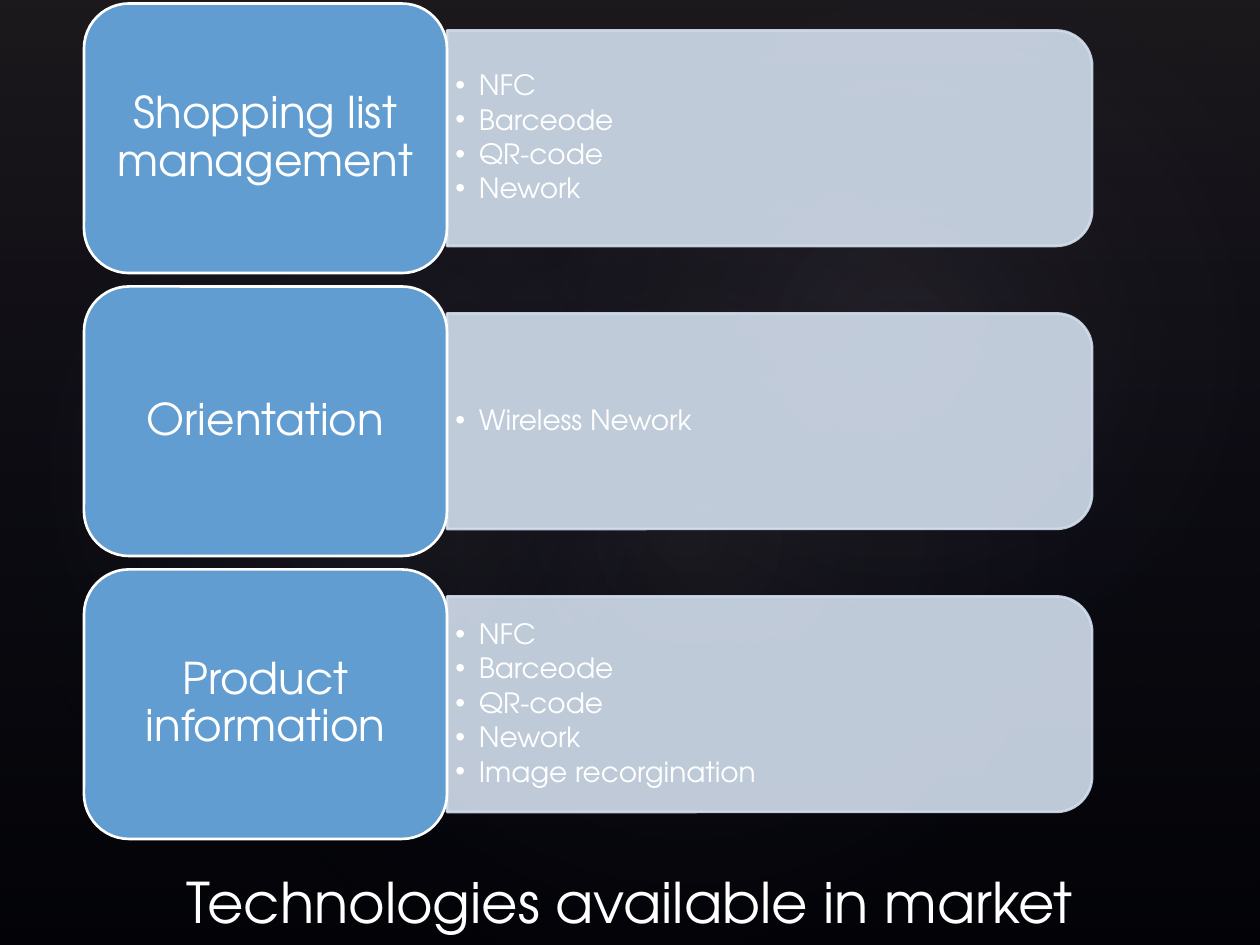
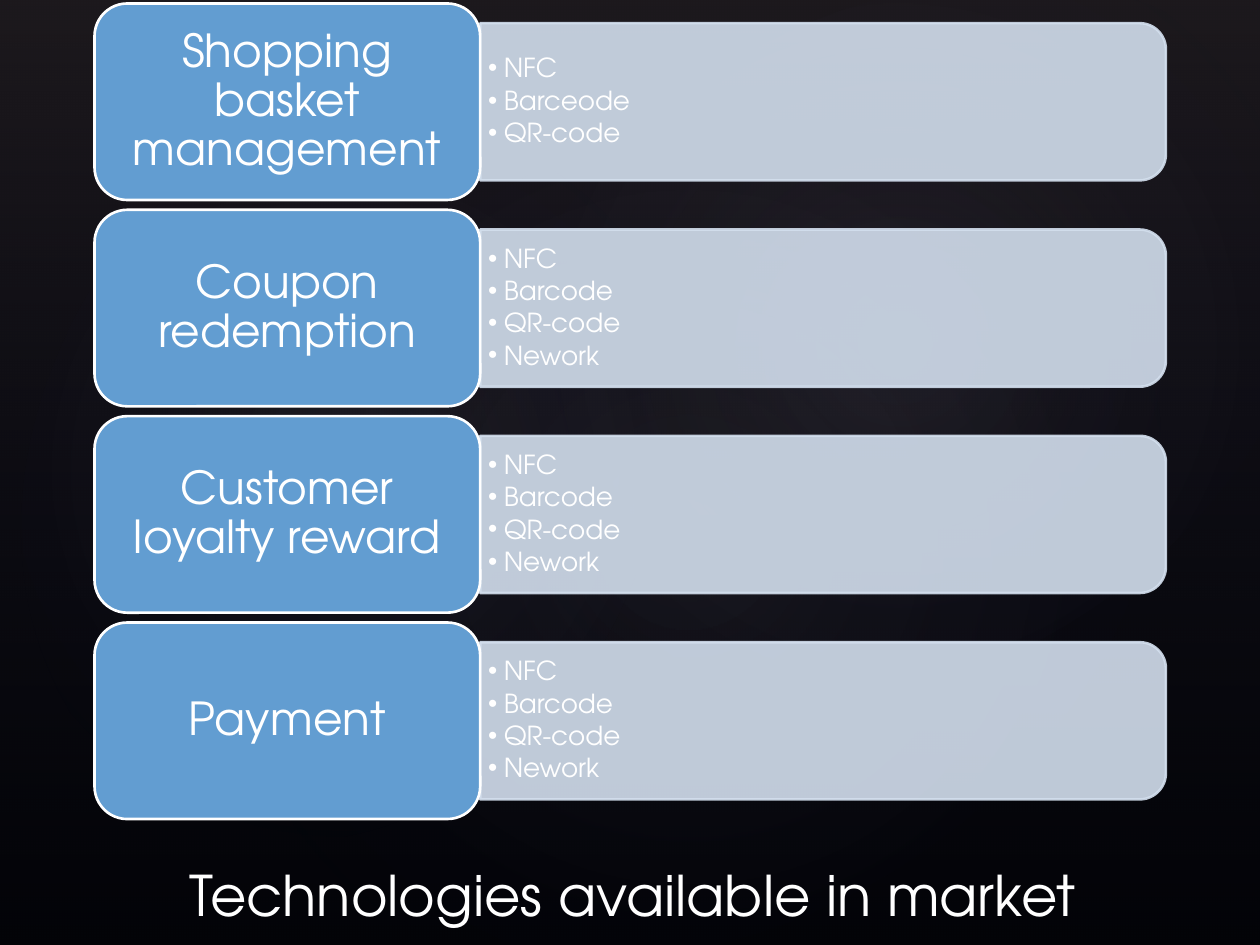
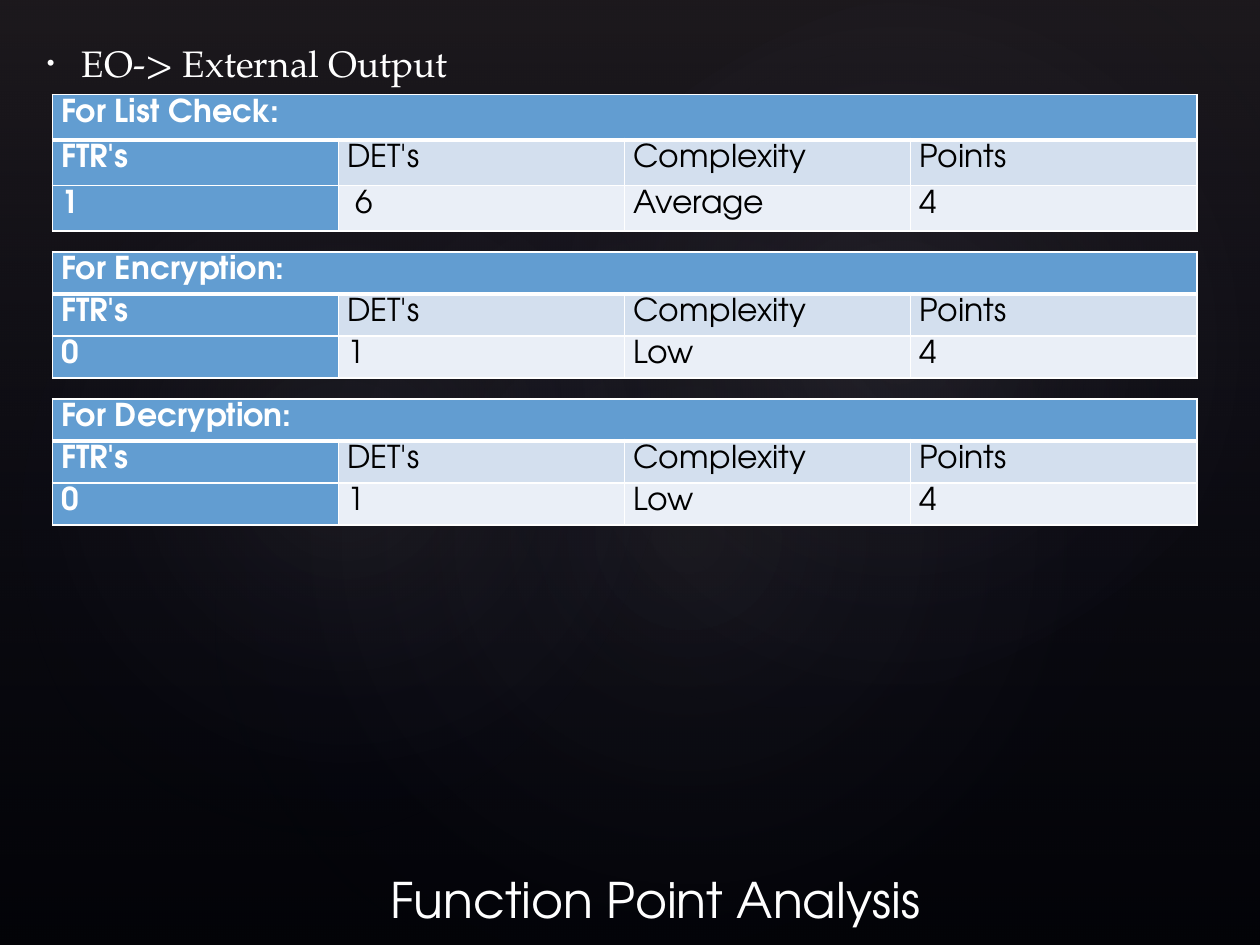
"""Build three dark slides: two technology overviews and a function point analysis."""
from lxml.etree import SubElement
from pptx import Presentation
from pptx.dml.color import RGBColor
from pptx.enum.shapes import MSO_SHAPE as Shape
from pptx.enum.text import MSO_ANCHOR as Anchor, MSO_AUTO_SIZE as AutoSize, PP_ALIGN as Align
from pptx.oxml import parse_xml
from pptx.oxml.ns import nsdecls, qn
from pptx.util import Pt

SANS, SERIF = "TeX Gyre Adventor", "TeX Gyre Pagella"
WHITE, BLACK = "FFFFFF", "000000"
BLUE, PALE, PALEST = "629DD1", "D3DFEE", "EAEFF7"
DUSK, NAVY, MIST = "504652", "242852", "C4BCC6"
CORNER = 0.0488
TITLE = "Technologies available in market"
CODES = ["NFC", "Barcode", "QR-code", "Nework"]
MISSPELT_CODES = ["NFC", "Barceode", "QR-code", "Nework"]


def rgb(color):
    """Turn a hex string into a colour."""
    return RGBColor.from_string(color)


def points(*lengths):
    """Turn numbers into lengths in points."""
    return [Pt(length) for length in lengths]


def add_plain(page, kind, frame, angle=0):
    """Add a preset shape that has no shadow."""
    shape = page.shapes.add_shape(kind, *points(*frame))
    shape.shadow.inherit = False
    shape.rotation = angle
    return shape


def paint(shape, fill, line, opacity=100):
    """Give a shape a solid fill and an outline."""
    shape.fill.solid()
    shape.fill.fore_color.rgb = rgb(fill)
    shape.line.color.rgb = rgb(line)
    shape.line.width = Pt(1.5)
    if opacity < 100:
        for color in shape.element.spPr.iter(qn("a:srgbClr")):
            SubElement(color, qn("a:alpha"), val=str(opacity * 1000))


def fade(shape, stops, direction):
    """Fill a shape with a translucent gradient and drop its outline."""
    shape.line.fill.background()
    marks = "".join(
        f'<a:gs pos="{place * 1000}"><a:srgbClr val="{color}">'
        f'<a:alpha val="{opacity * 1000}"/></a:srgbClr></a:gs>'
        for place, color, opacity in stops)
    shape.element.spPr.insert(2, parse_xml(
        f'<a:gradFill {nsdecls("a")} rotWithShape="1">'
        f'<a:gsLst>{marks}</a:gsLst>{direction}</a:gradFill>'))


def add_backdrop(deck, page):
    """Put the black ground, the haze and the three glows on the slide master."""
    master = deck.slide_master
    master.background.fill.solid()
    master.background.fill.fore_color.rgb = rgb(BLACK)
    haze = add_plain(page, Shape.RECTANGLE, (0, 0, 720, 540))
    fade(haze, [(0, DUSK, 36), (100, NAVY, 10)], '<a:lin ang="5400000" scaled="0"/>')
    layers = [haze]
    center = ('<a:path path="circle"><a:fillToRect l="50000" t="50000" '
              'r="50000" b="50000"/></a:path>')
    for frame, angle, opacity in [((108, 82, 570, 449), 328.7, 7),
                                  ((-21.5, 92, 436, 353), 294.3, 8),
                                  ((258, 9.5, 510.5, 374.5), 328.7, 8)]:
        glow = add_plain(page, Shape.OVAL, frame, angle)
        fade(glow, [(0, MIST, opacity), (58, NAVY, 0)], center)
        layers.append(glow)
    for place, layer in enumerate(layers, start=2):
        master.shapes.element.insert(place, layer.element)


def set_frame(box, anchor, insets=None):
    """Wrap and anchor the text of a box, with side and end insets."""
    frame = box.text_frame
    frame.word_wrap = True
    frame.auto_size = AutoSize.NONE
    frame.vertical_anchor = anchor
    if insets:
        frame.margin_left = frame.margin_right = Pt(insets[0])
        frame.margin_top = frame.margin_bottom = Pt(insets[1])
    return frame


def set_font(para, size, color=WHITE, name=SANS, bold=False):
    """Set the font of a whole paragraph."""
    para.font.size = Pt(size)
    para.font.name = name
    para.font.bold = bold
    para.font.color.rgb = rgb(color)


def set_bullet(para, left, hanging, percent=100):
    """Give a paragraph a round bullet with a hanging indent."""
    props = para._p.get_or_add_pPr()
    props.set("marL", str(Pt(left)))
    props.set("indent", str(-Pt(hanging)))
    SubElement(props, qn("a:buSzPct"), val=str(percent * 1000))
    SubElement(props, qn("a:buFont"), typeface="Arial")
    SubElement(props, qn("a:buChar"), char="•")


def place(box, frame):
    """Move and size a placeholder."""
    box.left, box.top, box.width, box.height = points(*frame)


def set_title(page, text, frame, size=32, align=Align.CENTER):
    """Fill the title placeholder at the foot of the slide."""
    title = page.shapes.title
    place(title, frame)
    para = set_frame(title, Anchor.BOTTOM).paragraphs[0]
    para.text = text
    para.alignment = align
    set_font(para, size)


def add_panel(page, left, middle, width, height, items, size, indent):
    """Add a pale panel, rounded on the right, with a bulleted list."""
    panel = add_plain(page, Shape.ROUND_2_SAME_RECTANGLE,
                      (left + (width - height) / 2, middle - width / 2, height, width), 90)
    paint(panel, PALE, PALE, 90)
    corner = height * CORNER
    box = page.shapes.add_textbox(
        *points(left, middle - height / 2 + corner, width - corner, height - 2 * corner))
    frame = set_frame(box, Anchor.MIDDLE, (size * 0.3, size * 0.15))
    for number, item in enumerate(items):
        para = frame.add_paragraph() if number else frame.paragraphs[0]
        para.text = item
        para.line_spacing = 0.9
        para.space_after = Pt(size * 0.15)
        set_bullet(para, indent, indent)
        set_font(para, size)


def add_card(page, frame, text, size):
    """Add a blue rounded card with a centred label."""
    card = add_plain(page, Shape.ROUNDED_RECTANGLE, frame)
    paint(card, BLUE, WHITE)
    para = set_frame(card, Anchor.MIDDLE, (size * 0.3, size * 0.15)).paragraphs[0]
    para.text = text
    para.alignment = Align.CENTER
    para.line_spacing = 0.9
    para.space_after = Pt(size * 0.35)
    set_font(para, size)


def add_blocks(page, blocks, left, width, height, label_size, item_size, indent):
    """Stack cards with their panels at an even pitch."""
    for number, (label, items) in enumerate(blocks):
        top = 2 + number * height * 1.05
        add_panel(page, left + width, top + height / 2, width * 16 / 9, height * 0.8,
                  items, item_size, indent)
        add_card(page, (left, top, width, height), label, label_size)


def set_borders(cell, top, bottom):
    """Draw white borders round a cell."""
    props = cell._tc.get_or_add_tcPr()
    for order, (side, width) in enumerate(
            [("L", 1), ("R", 1), ("T", top), ("B", bottom)]):
        props.insert(order, parse_xml(
            f'<a:ln{side} {nsdecls("a")} w="{Pt(width)}"><a:solidFill>'
            f'<a:srgbClr val="{WHITE}"/></a:solidFill></a:ln{side}>'))


def add_score_table(page, top, row_height, heading, values):
    """Add a table with a merged heading, column names and one row of scores."""
    rows = [[heading, "", "", ""], ["FTR's", "DET's", "Complexity", "Points"], values]
    table = page.shapes.add_table(
        3, 4, *points(30, top, 654, row_height * 3)).table
    for row_number, row in enumerate(rows):
        table.rows[row_number].height = Pt(row_height)
        for column, text in enumerate(row):
            cell = table.cell(row_number, column)
            strong = row_number == 0 or column == 0
            cell.fill.solid()
            cell.fill.fore_color.rgb = rgb(
                BLUE if strong else PALE if row_number == 1 else PALEST)
            cell.margin_left = cell.margin_right = Pt(5)
            cell.margin_top = cell.margin_bottom = 0
            set_borders(cell, 3 if row_number == 1 else 1, 3 if row_number == 0 else 1)
            para = cell.text_frame.paragraphs[0]
            para.text = text
            para.line_spacing = 1.15
            set_font(para, 18, WHITE if strong else BLACK, bold=strong)
    table.cell(0, 0).merge(table.cell(0, 3))


def set_body(page, text):
    """Fill the body placeholder with a single bulleted line."""
    body = page.placeholders[1]
    place(body, (18, 18, 684, 36))
    para = set_frame(body, Anchor.MIDDLE).paragraphs[0]
    para.text = text
    para.space_before = Pt(4.2)
    set_bullet(para, 21.6, 20, 60)
    set_font(para, 21, name=SERIF)


def main():
    """Build and save the deck."""
    deck = Presentation()
    deck.slide_width, deck.slide_height = points(720, 540)
    content, title_only = deck.slide_layouts[1], deck.slide_layouts[5]

    page = deck.slides.add_slide(title_only)
    add_backdrop(deck, page)
    add_blocks(page, [
        ("Shopping list management", MISSPELT_CODES),
        ("Orientation", ["Wireless Nework"]),
        ("Product information", MISSPELT_CODES + ["Image recorgination"]),
    ], 48, 207.4, 154, 25, 16, 13.5)
    set_title(page, TITLE, (0, 498, 720, 40))

    page = deck.slides.add_slide(title_only)
    add_blocks(page, [
        ("Shopping basket management", MISSPELT_CODES[:3]),
        ("Coupon redemption", CODES),
        ("Customer loyalty reward", CODES),
        ("Payment", CODES),
    ], 54, 220.4, 112.3, 26, 15, 9)
    set_title(page, TITLE, (3, 462, 717, 72))

    page = deck.slides.add_slide(content)
    set_title(page, "Function Point Analysis", (216, 486, 330, 48), 28, Align.LEFT)
    set_body(page, "EO-> External Output")
    add_score_table(page, 54, 26, "For List Check:", ["1", " 6", "Average", "4"])
    add_score_table(page, 144, 24, "For Encryption:", ["0", "1", "Low", "4"])
    add_score_table(page, 228, 24, "For Decryption:", ["0", "1", "Low", "4"])

    deck.save("out.pptx")


if __name__ == "__main__":
    main()
